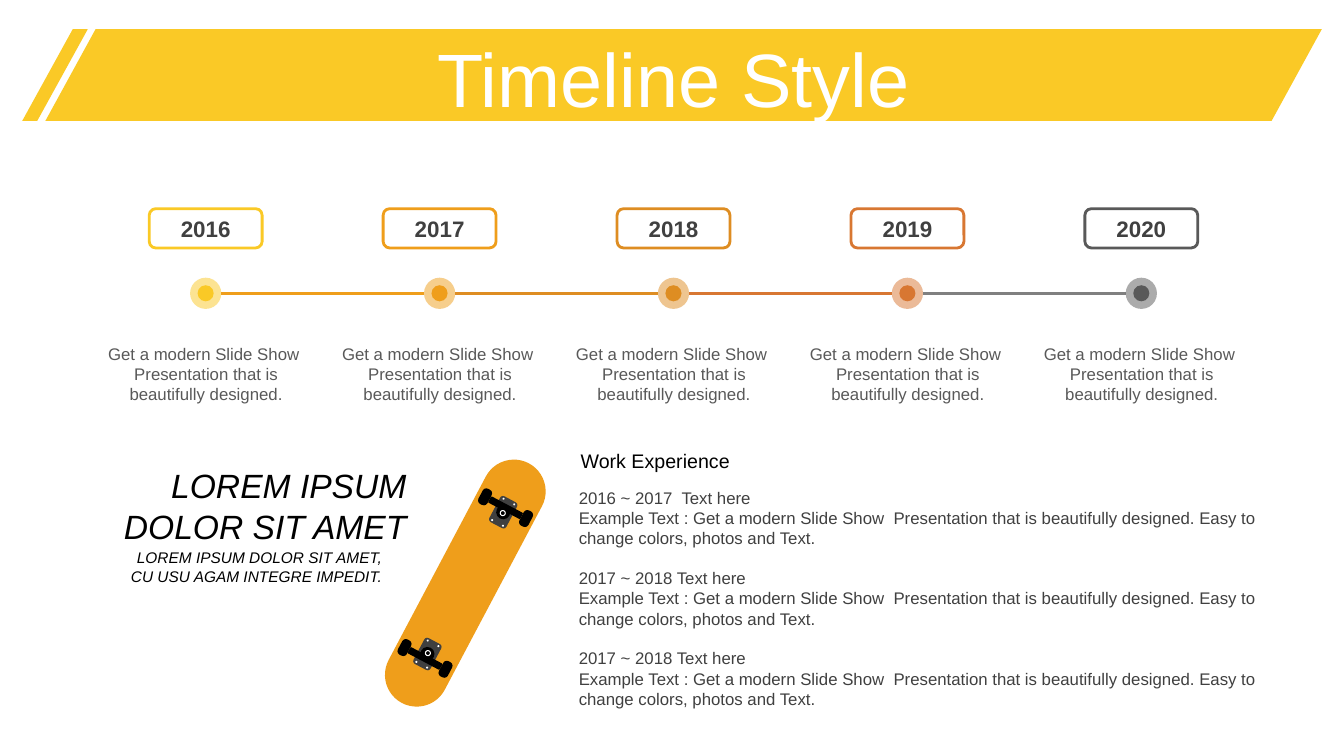
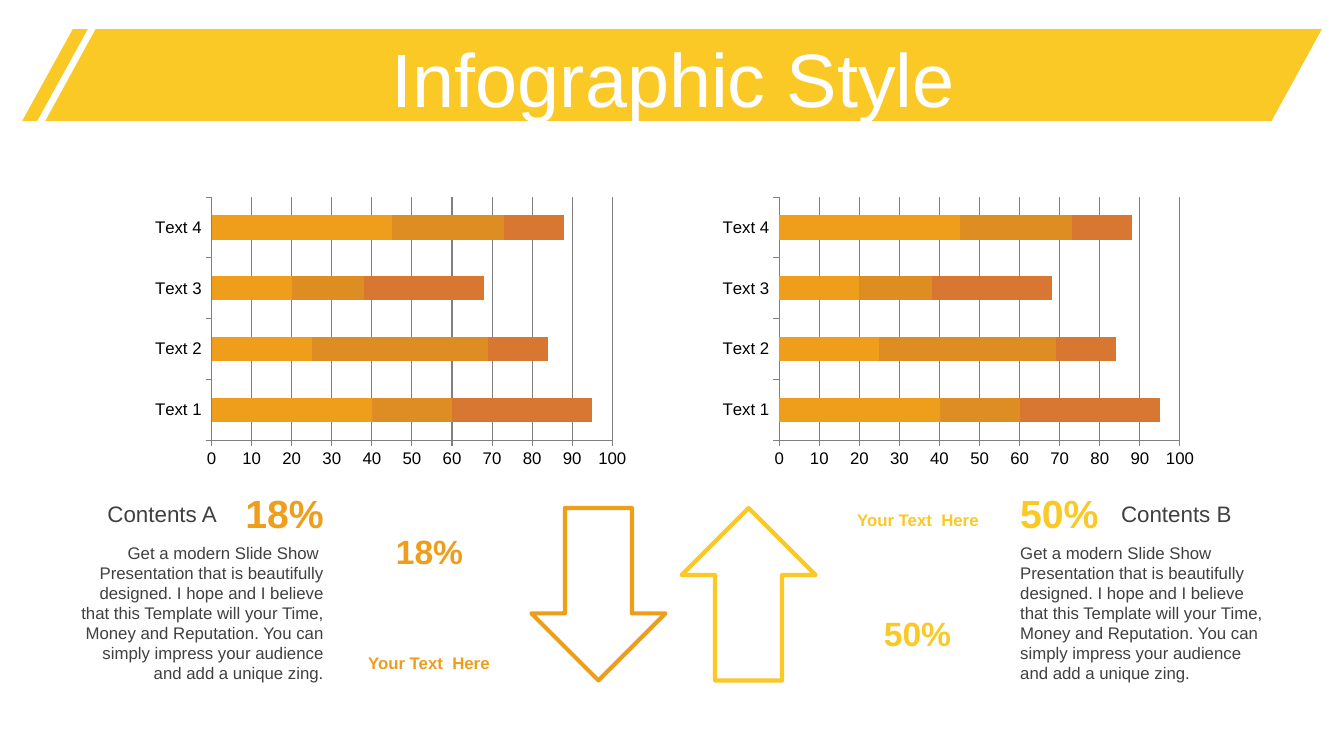
from math import cos, radians, sin

from pptx import Presentation
from pptx.chart.data import CategoryChartData
from pptx.dml.color import RGBColor
from pptx.enum.chart import XL_CHART_TYPE, XL_TICK_MARK
from pptx.enum.shapes import MSO_CONNECTOR, MSO_SHAPE
from pptx.enum.text import MSO_ANCHOR, MSO_AUTO_SIZE, PP_ALIGN
from pptx.oxml.ns import qn
from pptx.oxml.xmlchemy import OxmlElement
from pptx.util import Inches, Pt

FONT = "Arial"
WIDTH = 13.33
YELLOW = RGBColor(0xFA, 0xC9, 0x26)
AMBER = RGBColor(0xEF, 0x9E, 0x1B)
OCHRE = RGBColor(0xDE, 0x8D, 0x22)
RUST = RGBColor(0xD8, 0x77, 0x32)
SLATE = RGBColor(0x59, 0x59, 0x59)
DARK = RGBColor(0x40, 0x40, 0x40)
GRAY = RGBColor(0x80, 0x80, 0x80)
BLACK = RGBColor(0, 0, 0)
WHITE = RGBColor(0xFF, 0xFF, 0xFF)
LEFT, MID, RIGHT = PP_ALIGN.LEFT, PP_ALIGN.CENTER, PP_ALIGN.RIGHT

BLURB = "Get a modern Slide Show  Presentation that is beautifully designed."
PITCH = BLURB + (" I hope and I believe that this Template will your Time, Money and"
                 " Reputation. You can simply impress your audience and add a unique zing.")
DETAIL = "Example Text : " + BLURB + " Easy to change colors, photos and Text."
YEARS = [("2016", YELLOW), ("2017", AMBER), ("2018", OCHRE), ("2019", RUST), ("2020", SLATE)]
JOBS = ["2016 ~ 2017  Text here", "2017 ~ 2018 Text here", "2017 ~ 2018 Text here"]
TILT = 27.9


# Shared helpers
def write(shape, lines, size, color, align=LEFT, bold=False, italic=False,
          anchor=MSO_ANCHOR.TOP):
    frame = shape.text_frame
    frame.word_wrap = True
    frame.auto_size = MSO_AUTO_SIZE.NONE
    frame.vertical_anchor = anchor
    for i, line in enumerate(lines):
        para = frame.add_paragraph() if i else frame.paragraphs[0]
        para.alignment = align
        para.space_before = Pt(0)
        run = para.add_run()
        run.text = line
        font = run.font
        font.name, font.size, font.bold, font.italic = FONT, Pt(size), bold, italic
        font.color.rgb = color
    return frame


def label(slide, x, y, w, h, lines, size, color, align=LEFT, **style):
    box = slide.shapes.add_textbox(Inches(x), Inches(y), Inches(w), Inches(h))
    return write(box, lines, size, color, align, **style)


def form(shapes, kind, x, y, w, h, fill=None, line=None, weight=2):
    shape = shapes.add_shape(kind, Inches(x), Inches(y), Inches(w), Inches(h))
    shape.shadow.inherit = False
    if fill is None:
        shape.fill.background()
    else:
        shape.fill.solid()
        shape.fill.fore_color.rgb = fill
    if line is None:
        shape.line.fill.background()
    else:
        shape.line.color.rgb = line
        shape.line.width = Pt(weight)
    return shape


def place(shape, x, y, w, h):
    shape.left, shape.top = Inches(x), Inches(y)
    shape.width, shape.height = Inches(w), Inches(h)


def set_title(slide, text):
    write(slide.shapes.title, [text], 54, WHITE, MID, anchor=MSO_ANCHOR.MIDDLE)


def brand(master, slide):
    """Move the title band to the master and seat the title on it."""
    bands = [(0.45, 12.66, 0.547), (0.22, 0.65, 0.771)]
    for i, (x, w, slant) in enumerate(bands):
        band = form(slide.shapes, MSO_SHAPE.PARALLELOGRAM, x, 0.29, w, 0.91, YELLOW)
        band.adjustments[0] = slant
        band.element.nvSpPr.cNvPr.set("id", str(100 + i))
        master.shapes.element.insert(2 + i, band.element)
    place(master.placeholders[0], 0.35, 0.37, 12.66, 0.79)


# Timeline slide
def link(slide, start, end, y, color):
    line = slide.shapes.add_connector(MSO_CONNECTOR.STRAIGHT, Inches(start), Inches(y),
                                      Inches(end), Inches(y))
    line.line.color.rgb = color
    line.line.width = Pt(2)
    line.element.spPr.append(OxmlElement("a:effectLst"))


def dot(slide, x, y, size, color, alpha=100):
    disc = form(slide.shapes, MSO_SHAPE.OVAL, x - size / 2, y - size / 2, size, size, color)
    if alpha < 100:
        tint = OxmlElement("a:alpha")
        tint.set("val", str(alpha * 1000))
        disc.element.spPr.find(".//" + qn("a:srgbClr")).append(tint)


def timeline(slide, mid, top, step):
    y, ring = top + 0.84, 0.31
    for i, (year, color) in enumerate(YEARS):
        x = mid + (i - 2) * step
        if i:
            tone = GRAY if color == SLATE else color
            link(slide, x - step + ring / 2, x - ring / 2, y, tone)
        dot(slide, x, y, ring, color, 50)
        dot(slide, x, y, 0.16, color)
        tag = form(slide.shapes, MSO_SHAPE.ROUNDED_RECTANGLE, x - 0.56, top, 1.12, 0.39,
                   line=color)
        write(tag, [year], 16, DARK, MID, bold=True, anchor=MSO_ANCHOR.MIDDLE)
        label(slide, x - 1.08, top + 1.29, 2.17, 0.71, [BLURB], 12, SLATE, MID)


def truck(shapes, x, y, way):
    """Draw one truck; way is 1 or -1, the side on which its plate sits."""
    turn = radians(TILT)

    def part(kind, across, along, w, h, fill=None, line=None):
        along *= way
        px = x + across * cos(turn) - along * sin(turn)
        py = y + across * sin(turn) + along * cos(turn)
        piece = form(shapes, kind, px - w / 2, py - h / 2, w, h, fill, line, 0.75)
        piece.rotation = TILT
        return piece

    block, oval = MSO_SHAPE.ROUNDED_RECTANGLE, MSO_SHAPE.OVAL
    part(block, 0, -0.03, 0.19, 0.29, DARK)
    part(block, 0, 0.02, 0.36, 0.07, BLACK)
    part(oval, 0, -0.03, 0.14, 0.14, BLACK)
    for side in (-1, 1):
        wheel = part(block, side * 0.23, 0.02, 0.1, 0.17, BLACK)
        wheel.adjustments[0] = 0.4
        for end in (-0.15, 0.09):
            part(oval, side * 0.06, end, 0.02, 0.02, WHITE)
    part(oval, 0, -0.04, 0.05, 0.05, line=WHITE)


def board(slide, x, y, w, h):
    shapes = slide.shapes.add_group_shape().shapes
    deck = form(shapes, MSO_SHAPE.ROUNDED_RECTANGLE, x, y, w, h, AMBER)
    deck.adjustments[0] = 0.5
    deck.rotation = TILT
    mx, my = x + w / 2, y + h / 2
    for way in (1, -1):
        truck(shapes, mx - way * 0.39, my + way * 0.73, way)


def slogan(slide, x, y):
    label(slide, x, y, 3.25, 0.91, ["LOREM IPSUM", "DOLOR SIT AMET"], 24, BLACK, RIGHT,
          italic=True, anchor=MSO_ANCHOR.MIDDLE)
    label(slide, x - 0.24, y + 0.83, 3.25, 0.47,
          ["LOREM IPSUM DOLOR SIT AMET,", "CU USU AGAM INTEGRE IMPEDIT."], 11, BLACK, RIGHT,
          italic=True, anchor=MSO_ANCHOR.MIDDLE)


def career(slide, x, y):
    label(slide, x + 0.02, y, 7.09, 0.34, ["Work Experience"], 14, BLACK)
    body = slide.placeholders[1]
    place(body, x, y + 0.39, 7.13, 2.32)
    frame = write(body, [line for job in JOBS for line in (job, DETAIL)], 12, DARK)
    for i, para in enumerate(frame.paragraphs):
        props = para._p.get_or_add_pPr()
        props.set("marL", "0")
        props.set("indent", "0")
        props.append(OxmlElement("a:buNone"))
        if i and i % 2 == 0:
            para.space_before = Pt(14)


# Infographic slide
def bars(slide, x, y, w, h):
    data = CategoryChartData()
    data.categories = [f"Text {i}" for i in range(1, 5)]
    data.add_series("Series 1", (40, 25, 20, 45))
    data.add_series("Series 2", (20, 44, 18, 28))
    data.add_series("Series 3", (35, 15, 30, 15))
    chart = slide.shapes.add_chart(XL_CHART_TYPE.BAR_STACKED, Inches(x), Inches(y),
                                   Inches(w), Inches(h), data).chart
    chart.has_legend = chart.has_title = False
    chart.font.name, chart.font.size = FONT, Pt(12)
    chart.font.color.rgb = BLACK
    plot = chart.plots[0]
    plot.gap_width, plot.overlap, plot.vary_by_categories = 150, 100, False
    for series, color in zip(plot.series, (AMBER, OCHRE, RUST)):
        series.format.fill.solid()
        series.format.fill.fore_color.rgb = color
    scale = chart.value_axis
    scale.minimum_scale, scale.maximum_scale, scale.major_unit = 0, 100, 10
    scale.has_major_gridlines = True
    lines = [scale.major_gridlines.format.line]
    for axis in (scale, chart.category_axis):
        axis.major_tick_mark = XL_TICK_MARK.OUTSIDE
        axis.tick_labels.font.size = Pt(12)
        lines.append(axis.format.line)
    for line in lines:
        line.color.rgb = GRAY
        line.width = Pt(0.75)


def panel(slide, y, name, share, color, flip):
    """Place one half; flip mirrors it to the right."""
    def at(x, w, span=WIDTH):
        return span - x - w if flip else x

    inner = WIDTH + 0.03
    mid = {"anchor": MSO_ANCHOR.MIDDLE}
    align = LEFT if flip else RIGHT
    # Outer text
    label(slide, at(2.31, 1), y, 1, 0.5, [share], 28, color, align, bold=True, **mid)
    head = label(slide, at(0.63, 1.68), y + 0.07, 1.68, 0.37, [name], 16, DARK, align, **mid)
    if not flip:
        head.margin_right = Inches(0.16)
    label(slide, at(0.63, 2.68), y + 0.49, 2.68, 1.51, [PITCH], 12, DARK, align)
    # Arrow and its captions
    arrow = form(slide.shapes, MSO_SHAPE.UP_ARROW, at(5.27, 1.33, inner), y + 0.2, 1.33, 1.71,
                 line=color, weight=3)
    arrow.rotation = 0 if flip else 180
    big, small = (1.19, 0.17) if flip else (0.38, 1.59)
    label(slide, at(3.75, 1.02, inner), y + big, 1.02, 0.5, [share], 24, color, MID,
          bold=True, **mid)
    label(slide, at(3.42, 1.67, inner), y + small, 1.67, 0.3, ["Your Text  Here"], 12, color,
          MID, bold=True)


def main():
    prs = Presentation()
    prs.slide_width, prs.slide_height = Inches(WIDTH), Inches(7.5)

    first = prs.slides.add_slide(prs.slide_layouts[1])
    brand(prs.slide_master, first)
    set_title(first, "Timeline Style")
    timeline(first, 6.68, 2.07, 2.32)
    board(first, 4.3, 4.44, 0.63, 2.69)
    slogan(first, 0.88, 4.56)
    career(first, 5.64, 4.4)

    second = prs.slides.add_slide(prs.slide_layouts[5])
    set_title(second, "Infographic Style")
    for x in (1.44, 7.07):
        bars(second, x, 1.9, 4.87, 2.8)
    panel(second, 4.84, "Contents A", "18%", AMBER, False)
    panel(second, 4.84, "Contents B", "50%", YELLOW, True)

    prs.save("out.pptx")


if __name__ == "__main__":
    main()
